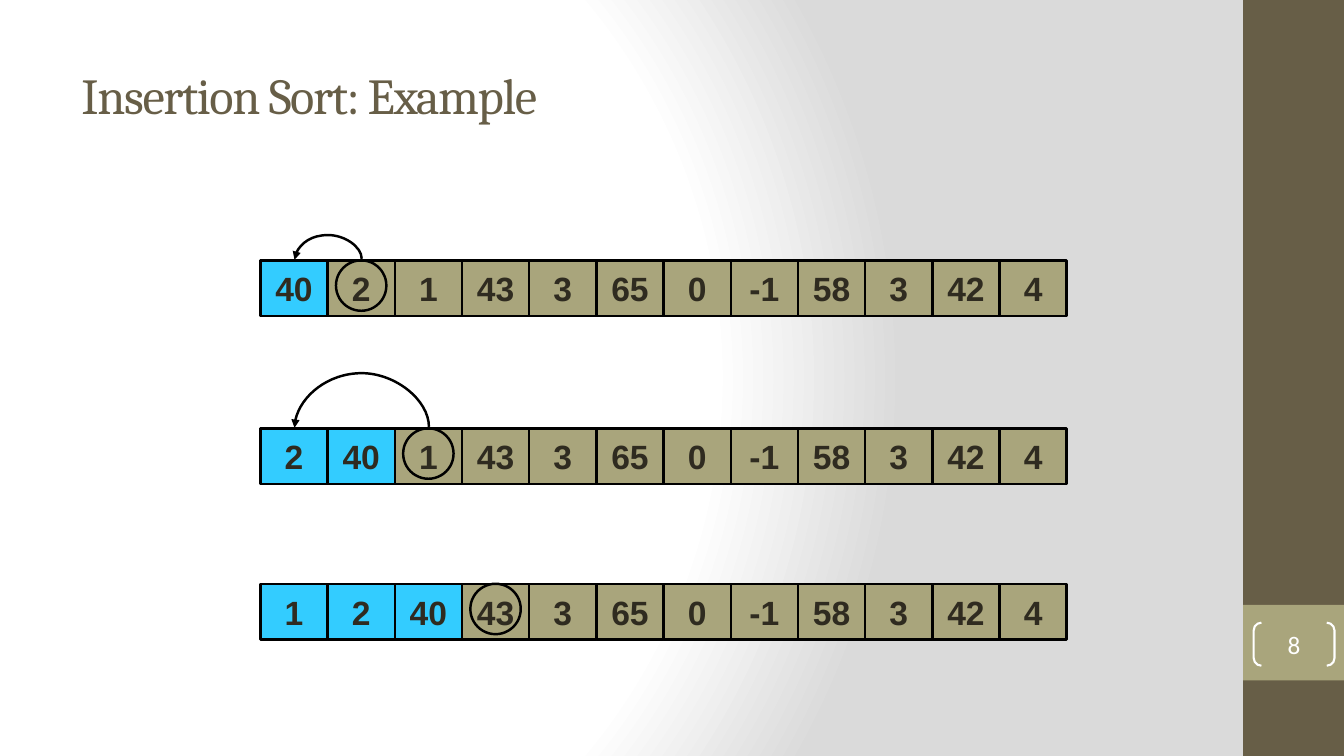
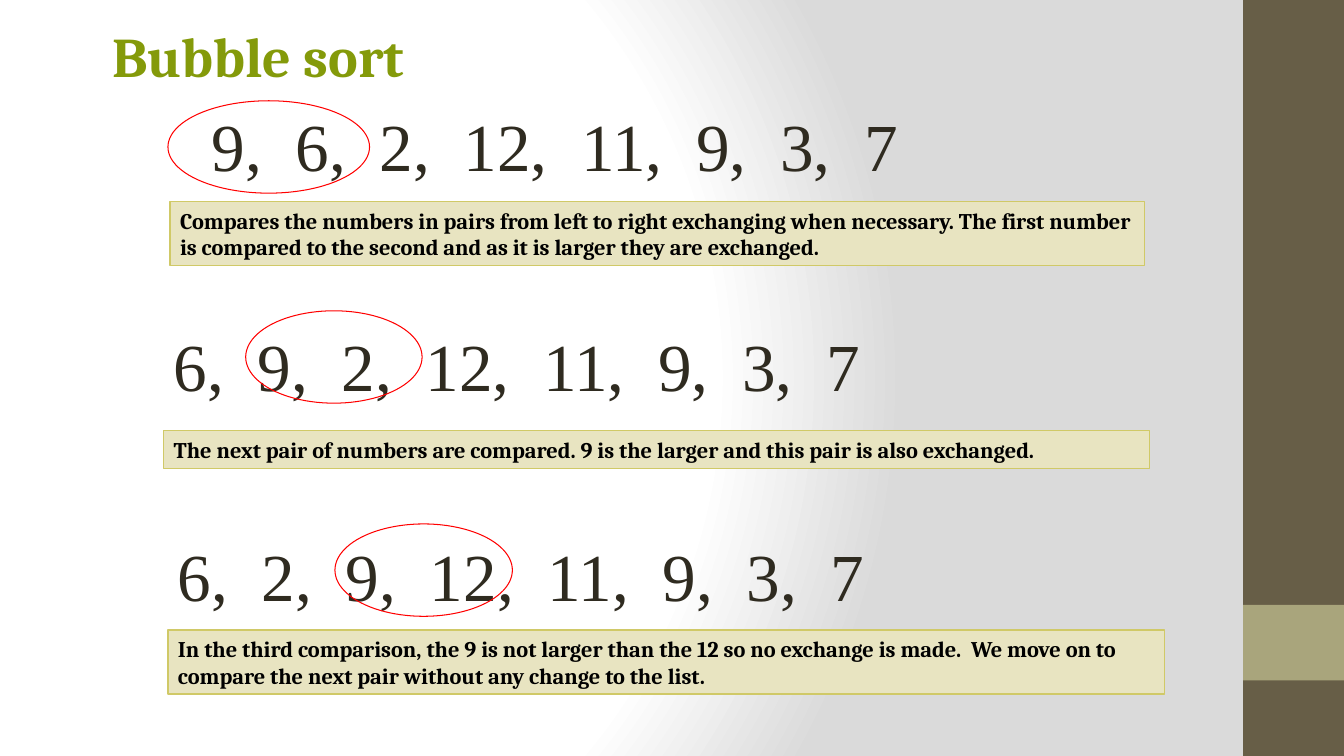
"""Build two slides that step through insertion sort and bubble sort."""
from dataclasses import dataclass

from lxml.etree import SubElement
from pptx import Presentation
from pptx.dml.color import RGBColor
from pptx.enum.shapes import MSO_CONNECTOR, MSO_SHAPE
from pptx.enum.text import MSO_ANCHOR, MSO_AUTO_SIZE, PP_ALIGN
from pptx.oxml import parse_xml
from pptx.oxml.ns import nsdecls, qn
from pptx.util import Pt

PX = 9525


@dataclass(frozen=True)
class Theme:
    white: str = "FFFFFF"
    shade: str = "DADADA"
    brown: str = "675E47"
    khaki: str = "A9A57C"
    sorted_blue: str = "33CCFF"
    black: str = "000000"
    ink: str = "2F2B20"
    green: str = "849A0A"
    red: str = "FF0000"
    note_fill: str = "E8E4C1"
    note_line: str = "D0C967"
    heading_font: str = "Cambria"
    cell_font: str = "Arial"
    number_font: str = "Times New Roman"
    page_font: str = "Calibri"
    title_size: int = 36
    bold_title_size: int = 40
    list_size: int = 48
    cell_size: int = 24
    page_size: int = 18
    note_size: int = 16
    stroke: float = 1.75


theme = Theme()


def draw(slide, kind, box, fill=None, line=None, width=theme.stroke):
    shape = slide.shapes.add_shape(kind, *(value * PX for value in box))
    shape.shadow.inherit = False
    if fill:
        shape.fill.solid()
        shape.fill.fore_color.rgb = RGBColor.from_string(fill)
    else:
        shape.fill.background()
    if line:
        shape.line.color.rgb = RGBColor.from_string(line)
        shape.line.width = Pt(width)
    else:
        shape.line.fill.background()
    return shape


def write(shape, text, font_name, size, color, bold=False, align=PP_ALIGN.LEFT,
          anchor=MSO_ANCHOR.MIDDLE, wrap=True, inset=None):
    frame = shape.text_frame
    frame.text = text
    frame.word_wrap = wrap
    frame.auto_size = MSO_AUTO_SIZE.NONE
    frame.vertical_anchor = anchor
    if inset is not None:
        frame.margin_left = frame.margin_right = inset
        frame.margin_top = frame.margin_bottom = inset
    paragraph = frame.paragraphs[0]
    paragraph.alignment = align
    font = paragraph.runs[0].font
    font.name, font.size, font.bold = font_name, Pt(size), bold
    font.color.rgb = RGBColor.from_string(color)
    return paragraph


presentation = Presentation()
presentation.slide_width = 1280 * PX
presentation.slide_height = 720 * PX
layout = presentation.slide_layouts[5]
for placeholder in list(layout.placeholders)[1:]:
    placeholder.element.getparent().remove(placeholder.element)

common_slide = presentation.slide_master.element.find(qn("p:cSld"))
for background in common_slide.findall(qn("p:bg")):
    common_slide.remove(background)
stops = "".join(
    f'<a:gs pos="{position}000"><a:srgbClr val="{color}"/></a:gs>'
    for position, color in ((0, theme.white), (75, theme.white), (100, theme.shade))
)
common_slide.insert(0, parse_xml(
    f'<p:bg {nsdecls("p", "a")}><p:bgPr><a:gradFill rotWithShape="1">'
    f'<a:gsLst>{stops}</a:gsLst><a:path path="circle">'
    '<a:fillToRect l="20000" t="50000" r="100000" b="50000"/></a:path>'
    '</a:gradFill><a:effectLst/></p:bgPr></p:bg>'
))

insertion_slide = presentation.slides.add_slide(layout)
bubble_slide = presentation.slides.add_slide(layout)

sidebar = draw(insertion_slide, MSO_SHAPE.RECTANGLE, (1184, 0, 96, 720), theme.brown)
page_band = draw(insertion_slide, MSO_SHAPE.RECTANGLE, (1184, 576, 96, 72), theme.khaki)
for position, band in enumerate((sidebar, page_band), start=2):
    layout.shapes.element.insert(position, band.element)

titles = (
    (insertion_slide, "Insertion Sort: Example", (68, 48, 988, 83),
     theme.title_size, theme.brown, False, None),
    (bubble_slide, "Bubble sort", (107, 24, 381, 64),
     theme.bold_title_size, theme.green, True, 0),
)
for slide, text, box, size, color, bold, inset in titles:
    title = slide.shapes.title
    title.left, title.top, title.width, title.height = (value * PX for value in box)
    write(title, text, theme.heading_font, size, color, bold, inset=inset)
bubble_slide.shapes.title.text_frame.paragraphs[0].line_spacing = 0.93
insertion_run = insertion_slide.shapes.title.text_frame.paragraphs[0].runs[0]
insertion_run.font._element.set("spc", "-100")

cell_left, cell_width, cell_height, ring_size = 248, 64, 53, 48
unsorted_tail = (43, 3, 65, 0, -1, 58, 3, 42, 4)
passes = (
    (248, (40, 2, 1), 1, 23),
    (408, (2, 40, 1), 2, 52),
    (556, (1, 2, 40), 3, None),
)
for top, head, sorted_count, arc_height in passes:
    for index, value in enumerate(head + unsorted_tail):
        fill = theme.sorted_blue if index < sorted_count else theme.khaki
        cell = draw(insertion_slide, MSO_SHAPE.RECTANGLE,
                    (cell_left + index * cell_width, top, cell_width, cell_height),
                    fill, theme.black)
        write(cell, str(value), theme.cell_font, theme.cell_size, theme.ink,
              bold=True, align=PP_ALIGN.CENTER, wrap=False)
    ring_left = cell_left + sorted_count * cell_width + (cell_width - ring_size) // 2
    draw(insertion_slide, MSO_SHAPE.OVAL, (ring_left, top, ring_size, ring_size),
         line=theme.black)
    if arc_height is None:
        continue
    span = sorted_count * cell_width
    center_x = cell_left + (cell_width + span) // 2
    upper, lower = top - 1 - span // 2, top - 1 + span // 2
    arrow = insertion_slide.shapes.add_connector(
        MSO_CONNECTOR.CURVE, (center_x + 1) * PX, lower * PX, center_x * PX, upper * PX)
    arrow.line.color.rgb = RGBColor.from_string(theme.black)
    arrow.line.width = Pt(theme.stroke)
    properties = arrow.element.spPr
    properties.find(qn("a:xfrm")).set("rot", "16200000")
    adjustments = properties.find(qn("a:prstGeom")).get_or_add_avLst()
    SubElement(adjustments, qn("a:gd"), name="adj1", fmla=f"val {-arc_height * 100000}")
    SubElement(properties.find(qn("a:ln")), qn("a:tailEnd"), type="triangle")
    SubElement(properties, qn("a:effectLst"))

page_number = draw(insertion_slide, MSO_SHAPE.DOUBLE_BRACKET, (1194, 593, 77, 41),
                   line=theme.white, width=1.5)
page_number.adjustments[0] = 0.18
write(page_number, "8", theme.page_font, theme.page_size, theme.white,
      align=PP_ALIGN.CENTER, inset=0)

comparisons = (
    ("9,  6,  2,  12,  11,  9,  3,  7", (192, 95), (160, 96, 192, 88),
     "Compares the numbers in pairs from left to right exchanging when necessary. "
     "The first number is compared to the second and as it is larger they are exchanged.",
     (162, 192, 928, 61)),
    ("6,  9,  2,  12,  11,  9,  3,  7", (156, 304), (234, 296, 168, 88),
     "The next pair of numbers are compared. 9 is the larger and this pair is also exchanged.",
     (156, 410, 939, 36)),
    ("6,  2,  9,  12,  11,  9,  3,  7", (160, 504), (319, 499, 169, 88),
     "In the third comparison, the 9 is not larger than the 12 so no exchange is made.  "
     "We move on to compare the next pair without any change to the list.",
     (160, 600, 949, 61)),
)
for numbers, (left, top), ring_box, explanation, note_box in comparisons:
    number_list = bubble_slide.shapes.add_textbox(left * PX, top * PX, 939 * PX, 86 * PX)
    write(number_list, numbers, theme.number_font, theme.list_size, theme.ink,
          anchor=MSO_ANCHOR.TOP)
    draw(bubble_slide, MSO_SHAPE.OVAL, ring_box, line=theme.red, width=0.75)
    note = draw(bubble_slide, MSO_SHAPE.RECTANGLE, note_box,
                theme.note_fill, theme.note_line, 1)
    write(note, explanation, theme.heading_font, theme.note_size, theme.black, bold=True)

presentation.save("out.pptx")
